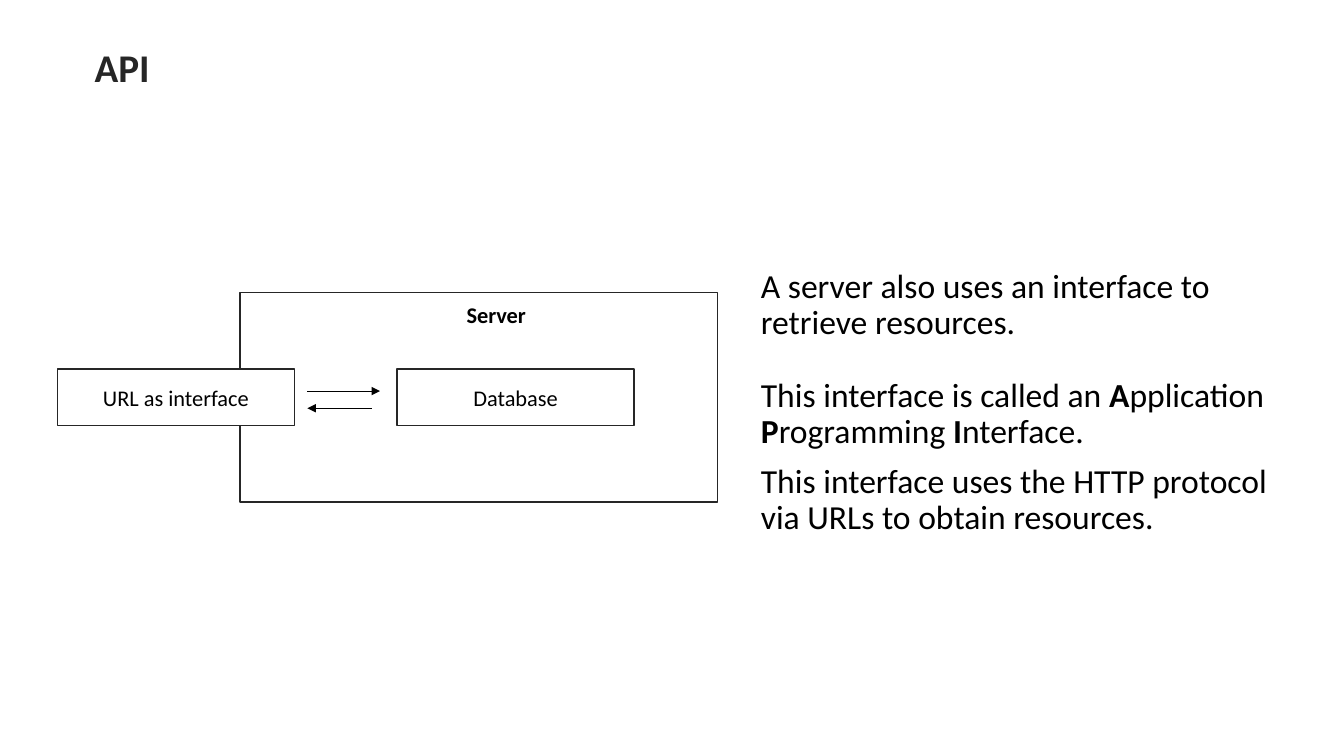
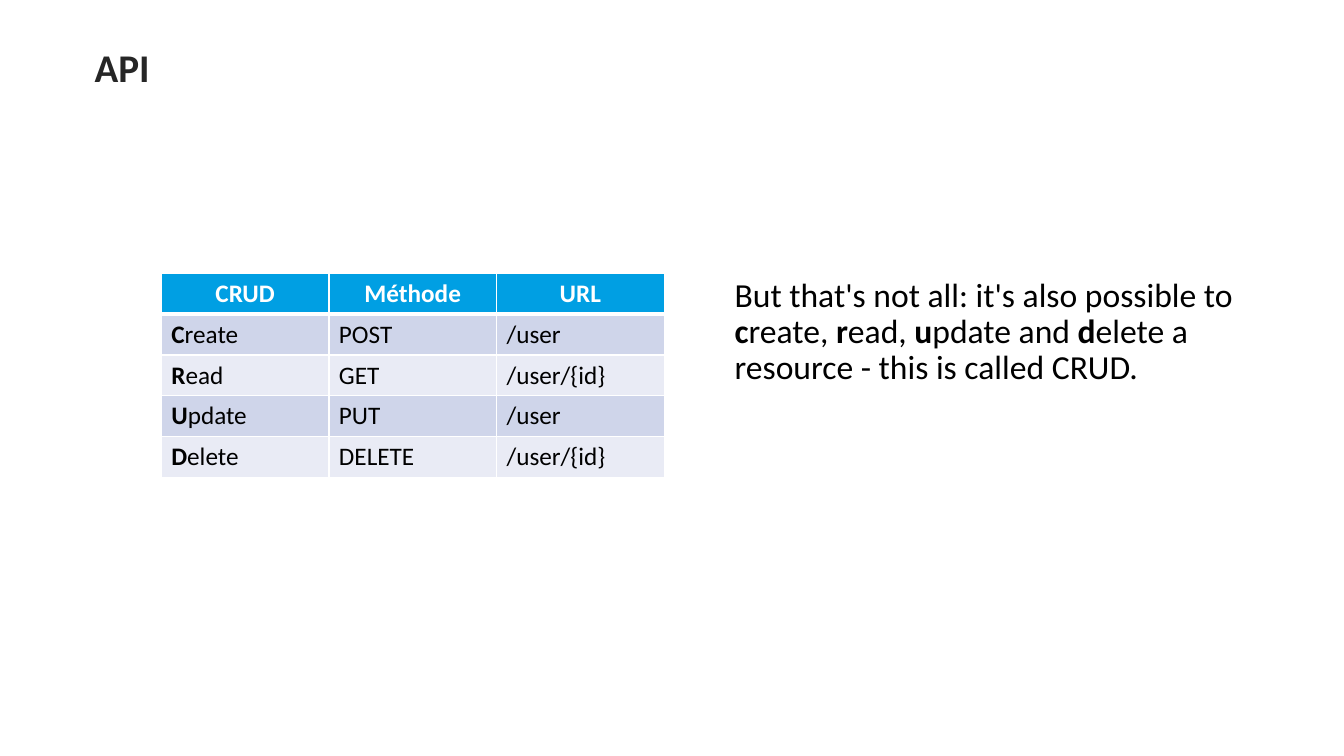
import dataclasses
import typing

import lxml.etree
import pptx
import pptx.dml.color
import pptx.enum.shapes
import pptx.enum.text
import pptx.oxml.ns
import pptx.presentation
import pptx.shapes.group
import pptx.slide
import pptx.table
import pptx.text.text
import pptx.util

COLUMNS, ROWS = 160, 90
GRID_STEP = pptx.util.Inches(1 / 12)

FONT = "Calibri"
WHITE = pptx.dml.color.RGBColor(0xFF, 0xFF, 0xFF)
BLACK = pptx.dml.color.RGBColor(0x00, 0x00, 0x00)
CHARCOAL = pptx.dml.color.RGBColor(0x26, 0x26, 0x26)
HEADER_BLUE = pptx.dml.color.RGBColor(0x00, 0x9F, 0xE3)
BAND_FILLS = (
    pptx.dml.color.RGBColor(0xCF, 0xD5, 0xEA),
    pptx.dml.color.RGBColor(0xE9, 0xEB, 0xF5),
)

ALIGN = pptx.enum.text.PP_ALIGN
ANCHOR = pptx.enum.text.MSO_ANCHOR


def grid(steps: float) -> pptx.util.Length:
    return pptx.util.Emu(round(steps * GRID_STEP))


@dataclasses.dataclass(frozen=True)
class Area:
    """A rectangle in grid columns and rows."""

    left: float
    top: float
    width: float
    height: float

    def lengths(self) -> list[pptx.util.Length]:
        return [grid(steps) for steps in dataclasses.astuple(self)]


@dataclasses.dataclass(frozen=True)
class TextStyle:
    size: float
    color: pptx.dml.color.RGBColor = BLACK
    bold: bool = False
    align: ALIGN = ALIGN.LEFT
    line_spacing: float = 1.0


@dataclasses.dataclass(frozen=True)
class Block:
    area: Area
    text: str = ""


@dataclasses.dataclass(frozen=True)
class Arrow:
    start: float
    end: float
    row: float


@dataclasses.dataclass(frozen=True)
class BodyParagraph:
    text: str
    space_before: float = 0


TITLE_STYLE = TextStyle(28, CHARCOAL, bold=True, line_spacing=0.9)
BODY_STYLE = TextStyle(24, line_spacing=0.9)
BLOCK_STYLE = TextStyle(16, align=ALIGN.CENTER)
LABEL_STYLE = TextStyle(16, bold=True)
HEADER_STYLE = TextStyle(18, WHITE, bold=True, align=ALIGN.CENTER)
CELL_STYLE = TextStyle(18)

TITLE_AREA = Area(10.08, 3.12, 108.96, 8.28)

BLOCK_TOP, BLOCK_WIDTH, BLOCK_HEIGHT = 43.92, 28.2, 6.72
SERVER_BLOCKS = (
    Block(Area(28.56, 34.8, 56.88, 24.96)),
    Block(Area(6.84, BLOCK_TOP, BLOCK_WIDTH, BLOCK_HEIGHT), "URL as interface"),
    Block(Area(47.28, BLOCK_TOP, BLOCK_WIDTH, BLOCK_HEIGHT), "Database"),
)
SERVER_LABEL = Block(Area(54.36, 35.28, 11.04, 4.44), "Server")
ARROWS = (Arrow(36.6, 45.24, 46.56), Arrow(44.28, 36.6, 48.6))

INTERFACE_AREA = Area(89.4, 31.44, 65.88, 24.96)
INTERFACE_TEXT = (
    BodyParagraph("A server also uses an interface to retrieve resources."),
    BodyParagraph(
        "This interface is called an **A**pplication **P**rogramming **I**nterface.", 26
    ),
    BodyParagraph("This interface uses the HTTP protocol via URLs to obtain resources.", 10),
)

CRUD_AREA = Area(86.28, 32.52, 62.4, 24.36)
CRUD_TEXT = (
    BodyParagraph(
        "But that's not all: it's also possible to **c**reate, **r**ead, "
        "**u**pdate and **d**elete a resource - this is called CRUD."
    ),
)
TABLE_AREA = Area(19.2, 32.52, 59.88, 24.36)
TABLE_ROWS = (
    ("CRUD", "Méthode", "URL"),
    ("**C**reate", "POST", "/user"),
    ("**R**ead", "GET", "/user/{id}"),
    ("**U**pdate", "PUT", "/user"),
    ("**D**elete", "DELETE", "/user/{id}"),
)


def write(para: pptx.text.text._Paragraph, text: str, style: TextStyle) -> None:
    """Fill a paragraph; words between double asterisks are bold."""
    para.alignment = style.align
    para.line_spacing = style.line_spacing
    for index, part in enumerate(text.split("**")):
        if not part:
            continue
        span = para.add_run()
        span.text = part
        span.font.name = FONT
        span.font.size = pptx.util.Pt(style.size)
        span.font.bold = style.bold or index % 2 == 1
        span.font.color.rgb = style.color


def add_text(
    shapes: typing.Any,
    area: Area,
    paragraphs: typing.Sequence[BodyParagraph],
    style: TextStyle,
    anchor: ANCHOR = ANCHOR.TOP,
    wrap: bool = True,
) -> None:
    frame = shapes.add_textbox(*area.lengths()).text_frame
    frame.word_wrap = wrap
    frame.vertical_anchor = anchor
    for index, content in enumerate(paragraphs):
        para = frame.add_paragraph() if index else frame.paragraphs[0]
        para.space_before = pptx.util.Pt(content.space_before)
        write(para, content.text, style)


def add_block(group: pptx.shapes.group.GroupShape, block: Block) -> None:
    box = group.shapes.add_shape(
        pptx.enum.shapes.MSO_SHAPE.RECTANGLE, *block.area.lengths()
    )
    box.shadow.inherit = False
    box.fill.solid()
    box.fill.fore_color.rgb = WHITE
    box.line.color.rgb = CHARCOAL
    box.line.width = pptx.util.Pt(1)
    box.text_frame.vertical_anchor = ANCHOR.MIDDLE
    write(box.text_frame.paragraphs[0], block.text, BLOCK_STYLE)


def add_arrow(page: pptx.slide.Slide, arrow: Arrow) -> None:
    line = page.shapes.add_connector(
        pptx.enum.shapes.MSO_CONNECTOR.STRAIGHT,
        grid(arrow.start), grid(arrow.row), grid(arrow.end), grid(arrow.row),
    )
    line.line.color.rgb = BLACK
    line.line.width = pptx.util.Pt(0.5)
    outline = line.line._get_or_add_ln()
    lxml.etree.SubElement(outline, pptx.oxml.ns.qn("a:tailEnd"), type="triangle")
    lxml.etree.SubElement(line._element.spPr, pptx.oxml.ns.qn("a:effectLst"))


def set_borders(cell: pptx.table._Cell, top: float, bottom: float) -> None:
    """Draw white cell borders, one point wide at the sides."""
    properties = cell._tc.get_or_add_tcPr()
    for side, points in (("L", 1), ("R", 1), ("T", top), ("B", bottom)):
        border = lxml.etree.SubElement(
            properties, pptx.oxml.ns.qn(f"a:ln{side}"), w=str(pptx.util.Pt(points))
        )
        fill = lxml.etree.SubElement(border, pptx.oxml.ns.qn("a:solidFill"))
        lxml.etree.SubElement(fill, pptx.oxml.ns.qn("a:srgbClr"), val=str(WHITE))


def add_crud_table(page: pptx.slide.Slide) -> None:
    row_count, column_count = len(TABLE_ROWS), len(TABLE_ROWS[0])
    table = page.shapes.add_table(row_count, column_count, *TABLE_AREA.lengths()).table
    for column in table.columns:
        column.width = grid(TABLE_AREA.width / column_count)
    for row_index, texts in enumerate(TABLE_ROWS):
        table.rows[row_index].height = grid(TABLE_AREA.height / row_count)
        is_header = row_index == 0
        for column_index, text in enumerate(texts):
            cell = table.cell(row_index, column_index)
            set_borders(cell, 3 if row_index == 1 else 1, 3 if is_header else 1)
            cell.fill.solid()
            cell.fill.fore_color.rgb = (
                HEADER_BLUE if is_header else BAND_FILLS[(row_index - 1) % 2]
            )
            write(
                cell.text_frame.paragraphs[0], text,
                HEADER_STYLE if is_header else CELL_STYLE,
            )


def add_page(
    deck: pptx.presentation.Presentation,
    body_area: Area,
    body: typing.Sequence[BodyParagraph],
) -> pptx.slide.Slide:
    """Add a blank slide with the shared title and its body text."""
    page = deck.slides.add_slide(deck.slide_layouts[6])
    add_text(page.shapes, TITLE_AREA, [BodyParagraph("API")], TITLE_STYLE, ANCHOR.BOTTOM)
    add_text(page.shapes, body_area, body, BODY_STYLE)
    return page


def add_server_diagram(page: pptx.slide.Slide) -> None:
    group = page.shapes.add_group_shape()
    for block in SERVER_BLOCKS:
        add_block(group, block)
    add_text(
        group.shapes, SERVER_LABEL.area, [BodyParagraph(SERVER_LABEL.text)],
        LABEL_STYLE, wrap=False,
    )
    for arrow in ARROWS:
        add_arrow(page, arrow)


def main() -> None:
    deck = pptx.Presentation()
    deck.slide_width, deck.slide_height = grid(COLUMNS), grid(ROWS)
    add_server_diagram(add_page(deck, INTERFACE_AREA, INTERFACE_TEXT))
    add_crud_table(add_page(deck, CRUD_AREA, CRUD_TEXT))
    deck.save("out.pptx")


if __name__ == "__main__":
    main()
